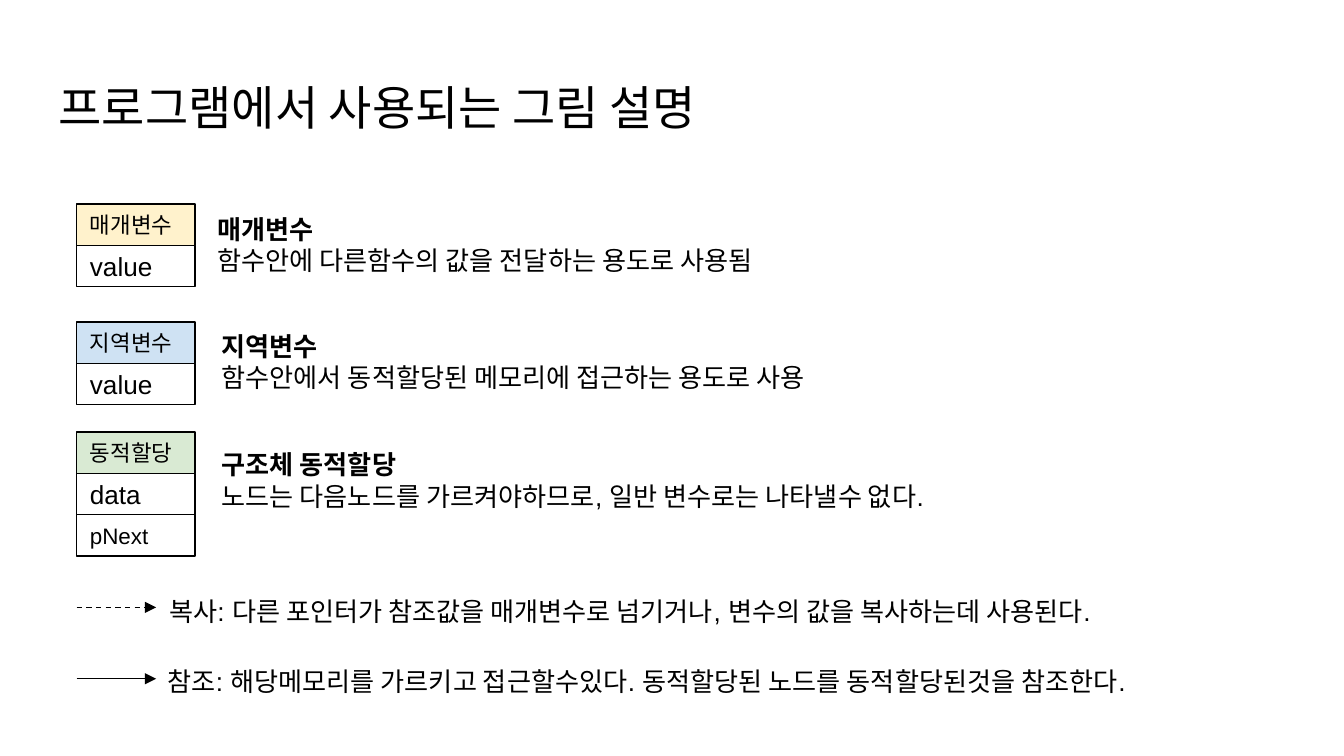
"""Build a slide that explains the symbols used in the program diagrams."""
from dataclasses import dataclass

from lxml.etree import SubElement
from pptx import Presentation
from pptx.dml.color import RGBColor
from pptx.enum.dml import MSO_LINE
from pptx.enum.shapes import MSO_CONNECTOR, MSO_SHAPE
from pptx.enum.text import MSO_ANCHOR, PP_ALIGN
from pptx.oxml.ns import qn
from pptx.util import Cm, Pt


@dataclass(frozen=True)
class Theme:
    font: str = "Arial"
    ink: str = "000000"
    paper: str = "FFFFFF"
    parameter: str = "FFF2CC"
    local: str = "CFE2F3"
    allocated: str = "D9EAD3"
    title: float = 25.2
    body: float = 14
    small: float = 12
    stroke: float = 0.75


class LegendSlide:
    def __init__(self, slide, theme):
        self.slide = slide
        self.theme = theme

    def style_frame(self, frame, **formats):
        values = {f"margin_{side}": Cm(0.25) for side in ("left", "top", "right", "bottom")}
        values |= {"word_wrap": True, **formats}
        for key, value in values.items():
            setattr(frame, key, value)

    def add_words(self, paragraph, words, size, bold=False):
        run = paragraph.add_run()
        run.text = words
        formats = {"name": self.theme.font, "size": Pt(size), "bold": bold}
        for key, value in formats.items():
            setattr(run.font, key, value)
        run.font.color.rgb = RGBColor.from_string(self.theme.ink)

    def text(self, left, top, width, height, words, size, heading=None):
        frame = self.slide.shapes.add_textbox(Cm(left), Cm(top), Cm(width), Cm(height)).text_frame
        self.style_frame(frame)
        paragraph = frame.paragraphs[0]
        if heading:
            self.add_words(paragraph, heading, size, bold=True)
            paragraph.add_line_break()
        self.add_words(paragraph, words, size)

    def memory_box(self, left, top, cells, width=2.24, height=0.78):
        group = self.slide.shapes.add_group_shape()
        for row, (words, size, fill) in enumerate(cells):
            cell = group.shapes.add_shape(
                MSO_SHAPE.RECTANGLE, Cm(left), Cm(top + row * height), Cm(width), Cm(height))
            cell.shadow.inherit = False
            cell.fill.solid()
            cell.fill.fore_color.rgb = RGBColor.from_string(fill)
            self.stroke(cell.line)
            self.style_frame(cell.text_frame, vertical_anchor=MSO_ANCHOR.MIDDLE)
            paragraph = cell.text_frame.paragraphs[0]
            paragraph.alignment = PP_ALIGN.LEFT
            self.add_words(paragraph, words, size)

    def stroke(self, line):
        line.color.rgb = RGBColor.from_string(self.theme.ink)
        line.width = Pt(self.theme.stroke)

    def arrow(self, left, right, y, dash=None):
        arrow = self.slide.shapes.add_connector(
            MSO_CONNECTOR.STRAIGHT, Cm(left), Cm(y), Cm(right), Cm(y))
        self.stroke(arrow.line)
        if dash:
            arrow.line.dash_style = dash
        properties = arrow._element.spPr
        SubElement(properties.get_or_add_ln(), qn("a:tailEnd"), type="triangle")
        SubElement(properties, qn("a:effectLst"))


def main():
    theme = Theme()
    deck = Presentation()
    deck.slide_width, deck.slide_height = Cm(25.4), Cm(14.29)
    legend = LegendSlide(deck.slides.add_slide(deck.slide_layouts[6]), theme)
    margin = 1.45

    legend.text(0.86, 1.24, 23.67, 1.6, "프로그램에서 사용되는 그림 설명", theme.title)

    value = ("value", theme.body, theme.paper)
    node_fields = [("data", theme.body, theme.paper), ("pNext", theme.small, theme.paper)]
    memory_kinds = [
        (3.86, "매개변수", theme.parameter, [value], (3.86, 3.78, 13.34),
         "매개변수", "함수안에 다른함수의 값을 전달하는 용도로 사용됨"),
        (6.09, "지역변수", theme.local, [value], (3.94, 5.99, 13.34),
         "지역변수", "함수안에서 동적할당된 메모리에 접근하는 용도로 사용"),
        (8.17, "동적할당", theme.allocated, node_fields, (3.94, 8.23, 15.8),
         "구조체 동적할당", "노드는 다음노드를 가르켜야하므로, 일반 변수로는 나타낼수 없다."),
    ]
    for top, label, fill, fields, place, heading, meaning in memory_kinds:
        legend.memory_box(margin, top, [(label, theme.small, fill), *fields])
        legend.text(*place, 1.7, meaning, theme.body, heading)

    arrow_kinds = [
        (11.48, MSO_LINE.DASH, (2.95, 11, 20.73, 0.56),
         "복사: 다른 포인터가 참조값을 매개변수로 넘기거나, 변수의 값을 복사하는데 사용된다."),
        (12.83, None, (2.92, 12.32, 22.4, 1.02),
         "참조: 해당메모리를 가르키고 접근할수있다. 동적할당된 노드를 동적할당된것을 참조한다."),
    ]
    for y, dash, place, meaning in arrow_kinds:
        legend.arrow(margin, 2.95, y, dash)
        legend.text(*place, meaning, theme.body)

    deck.save("out.pptx")


if __name__ == "__main__":
    main()
